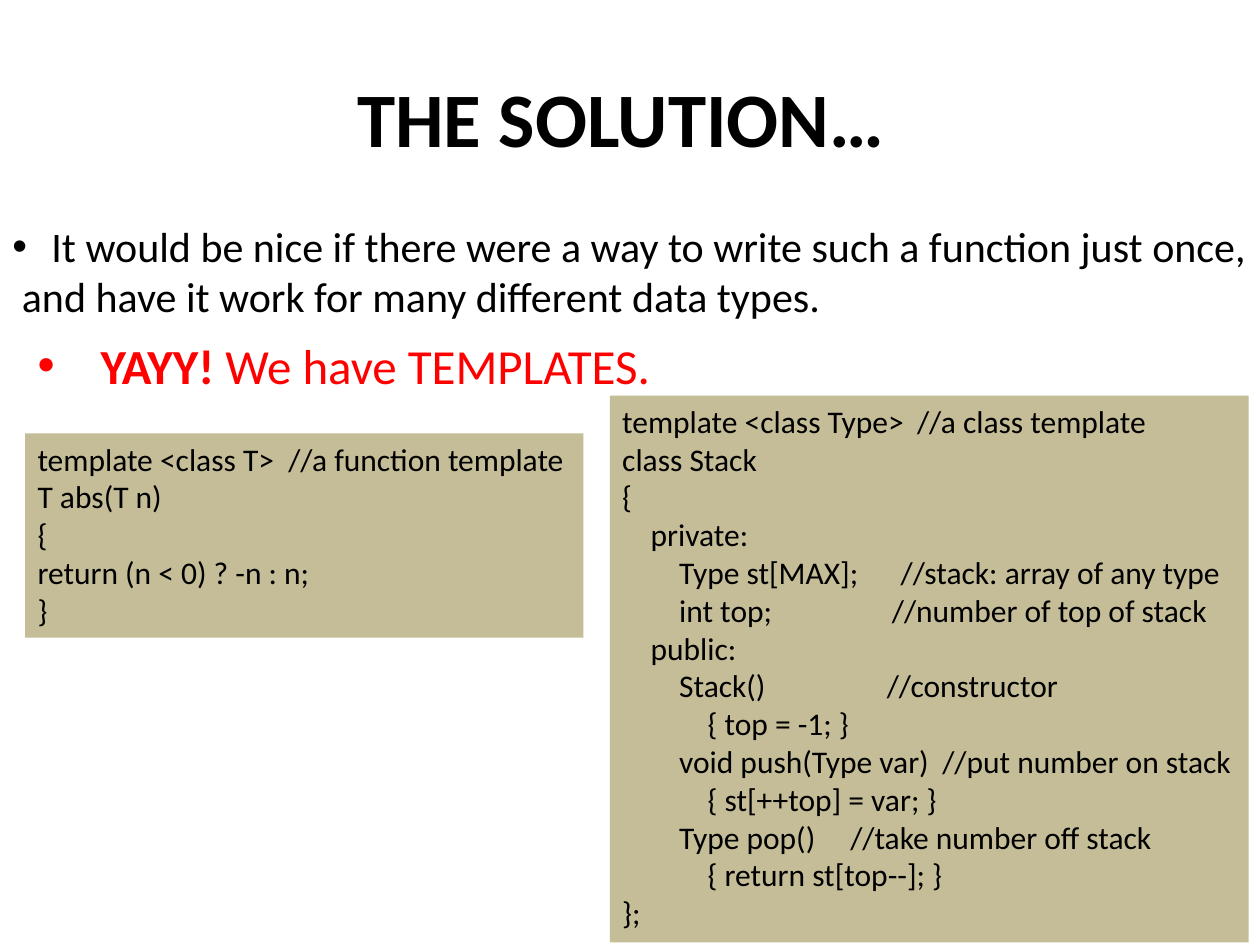
"""Builds the slide that presents C++ templates as the solution."""
import pptx
import pptx.dml.color
import pptx.enum.text
import pptx.oxml.ns
import pptx.util
import lxml.etree

Inches = pptx.util.Inches
Pt = pptx.util.Pt
BLACK = pptx.dml.color.RGBColor(0x00, 0x00, 0x00)
WHITE = pptx.dml.color.RGBColor(0xFF, 0xFF, 0xFF)
RED = pptx.dml.color.RGBColor(0xFF, 0x00, 0x00)
TAN = pptx.dml.color.RGBColor(0xC4, 0xBD, 0x97)
CODE_STEP = 0.226

presentation = pptx.Presentation()
presentation.slide_width = Inches(10)
presentation.slide_height = Inches(7.5)
slide = presentation.slides.add_slide(presentation.slide_layouts[6])


def add_text(left, top, width, height, lines, size, color=BLACK, wrap=False):
    """Add a text box; each line is a list of (text, bold) runs."""
    box = slide.shapes.add_textbox(Inches(left), Inches(top), Inches(width), Inches(height))
    box.text_frame.word_wrap = wrap
    box.text_frame.auto_size = pptx.enum.text.MSO_AUTO_SIZE.SHAPE_TO_FIT_TEXT
    for index, line in enumerate(lines):
        paragraph = box.text_frame.paragraphs[0] if index == 0 else box.text_frame.add_paragraph()
        for text, bold in line:
            run = paragraph.add_run()
            run.text = text
            run.font.name = "Calibri"
            run.font.size = Pt(size)
            run.font.bold = bold
            run.font.color.rgb = color
    return box


def add_properties(paragraph, tag, items):
    """Append a paragraph property element with one child per item."""
    properties = paragraph._p.get_or_add_pPr()
    element = lxml.etree.SubElement(properties, pptx.oxml.ns.qn(tag))
    for child_tag, attributes in items:
        lxml.etree.SubElement(element, pptx.oxml.ns.qn(child_tag), attributes)
    return element


title = add_text(0.5, 0.3, 9, 1.25, [[("THE SOLUTION… ", True)]], 44, wrap=True)
title.text_frame.auto_size = pptx.enum.text.MSO_AUTO_SIZE.NONE
title.text_frame.vertical_anchor = pptx.enum.text.MSO_ANCHOR.MIDDLE
title.text_frame.paragraphs[0].alignment = pptx.enum.text.PP_ALIGN.CENTER

wish = add_text(0, 1.7, 10.09, 0.91, [
    [("It would be nice if there were a way to write such a function just once,", False)],
    [(" and have it work for many different data types.", False)],
], 24)
answer = add_text(0.2, 2.61, 5.11, 0.57, [[("YAYY!", True), (" We have TEMPLATES.", False)]], 28, RED)
answer.line.color.rgb = WHITE
answer.line.width = Pt(0.75)

for bulleted, indent in [(wish, 0.31), (answer, 0.5)]:
    paragraph = bulleted.text_frame.paragraphs[0]
    properties = paragraph._p.get_or_add_pPr()
    properties.set("marL", str(Inches(indent)))
    properties.set("indent", str(-Inches(indent)))
    add_properties(paragraph, "a:buFont", []).set("typeface", "Arial")
    add_properties(paragraph, "a:buChar", []).set("char", "•")

function_code = [
    (0, "template <class T>", "//a function template", 1.99),
    (0, "T abs(T n)", "", 0),
    (0, "{", "", 0),
    (0, "return (n < 0) ? -n : n;", "", 0),
    (0, "}", "", 0),
]
class_code = [
    (0, "template <class Type>", "//a class template", 2.34),
    (0, "class Stack", "", 0),
    (0, "{", "", 0),
    (1, "private:", "", 0),
    (2, "Type st[MAX];", "//stack: array of any type", 2.21),
    (2, "int top;", "//number of top of stack", 2.14),
    (1, "public:", "", 0),
    (2, "Stack()", "//constructor", 2.1),
    (3, "{ top = -1; }", "", 0),
    (2, "void push(Type var)", "//put number on stack", 2.54),
    (3, "{ st[++top] = var; }", "", 0),
    (2, "Type pop()", "//take number off stack", 1.81),
    (3, "{ return st[top--]; }", "", 0),
    (0, "};", "", 0),
]

for left, top, width, height, code, wrap in [
    (0.2, 3.44, 4.43, 1.62, function_code, False),
    (4.84, 3.14, 5.07, 4.34, class_code, True),
]:
    lines = [
        [("\t" * depth + statement + ("\t" + remark if remark else ""), False)]
        for depth, statement, remark, _ in code
    ]
    panel = add_text(left, top, width, height, lines, 18, wrap=wrap)
    panel.fill.solid()
    panel.fill.fore_color.rgb = TAN
    for paragraph, (depth, _, remark, remark_at) in zip(panel.text_frame.paragraphs, code):
        stops = [CODE_STEP * (level + 1) for level in range(depth)]
        if remark:
            stops.append(remark_at)
        if stops:
            add_properties(paragraph, "a:tabLst", [
                ("a:tab", {"pos": str(Inches(stop)), "algn": "l"}) for stop in stops
            ])

presentation.save("out.pptx")
